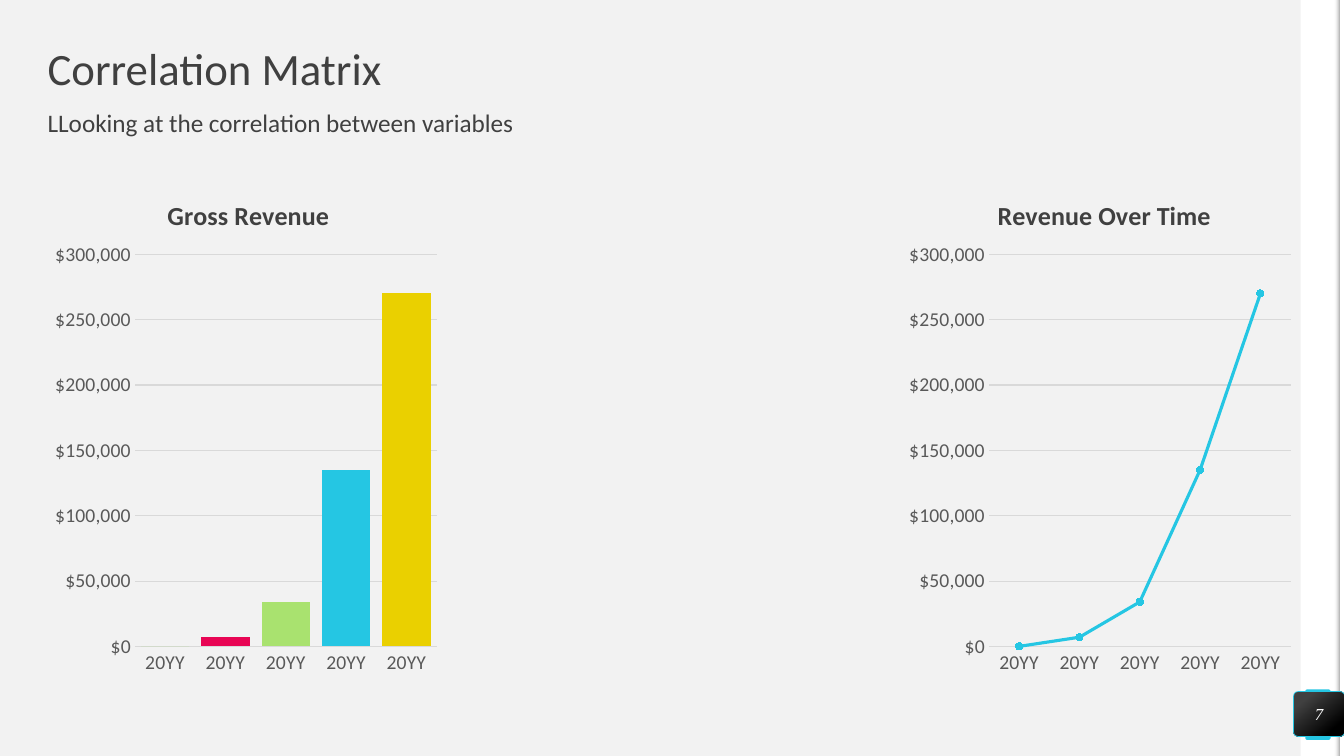
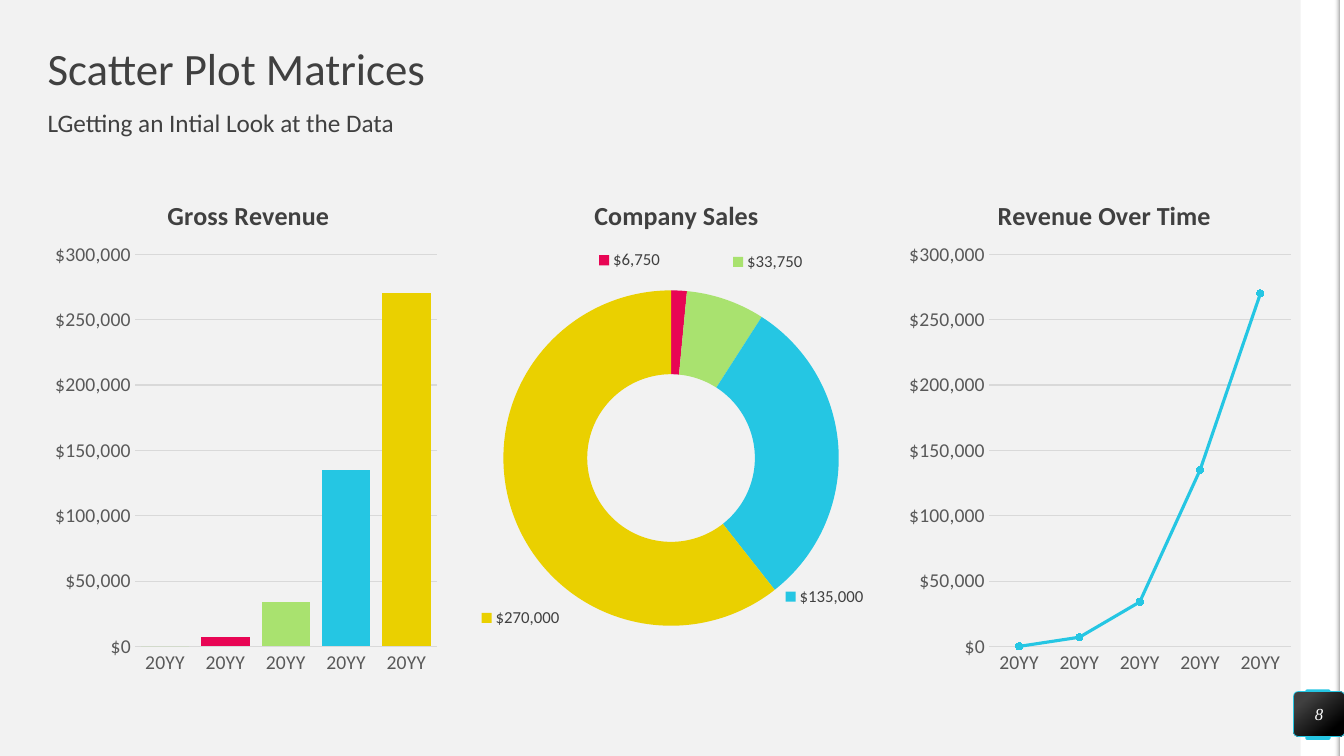
"""Build two revenue slides with charts, a side band and a page badge."""
import copy

import pptx
import pptx.chart.data
import pptx.dml.color
import pptx.enum.chart
import pptx.enum.shapes
import pptx.enum.text
import pptx.oxml
import pptx.oxml.ns
import pptx.util
from lxml import etree

Pt = pptx.util.Pt
RGBColor = pptx.dml.color.RGBColor
ChartType = pptx.enum.chart.XL_CHART_TYPE
ShapeType = pptx.enum.shapes.MSO_SHAPE
Anchor = pptx.enum.text.MSO_ANCHOR
Align = pptx.enum.text.PP_ALIGN
qn = pptx.oxml.ns.qn

PAPER = RGBColor(0xF2, 0xF2, 0xF2)
WHITE = RGBColor(0xFF, 0xFF, 0xFF)
BLACK = RGBColor(0, 0, 0)
INK = RGBColor(0x40, 0x40, 0x40)
AXIS_TEXT = RGBColor(0x59, 0x59, 0x59)
GRID = RGBColor(0xD9, 0xD9, 0xD9)
EDGE = RGBColor(0xA6, 0xA6, 0xA6)
CYAN = RGBColor(0x25, 0xC6, 0xE3)
GREEN = RGBColor(0xA9, 0xE2, 0x6F)
CRIMSON = RGBColor(0xE8, 0x05, 0x54)
YELLOW = RGBColor(0xEA, 0xD0, 0x00)

FONT = "Calibri"
MONEY = "[$$-409]#,##0"
POINT_COLORS = (GREEN, CRIMSON, GREEN, CYAN, YELLOW)
YEARS = ["20YY"] * 5
REVENUE = (0, 7000, 34000, 135000, 270000)
AXIS_PLOT = (0.22, 0.17, 0.76, 0.76)

CHARTS = {
    "bars": dict(title="Gross Revenue", column=0, kind=ChartType.COLUMN_CLUSTERED,
                 categories=YEARS, values=REVENUE, title_at=(0.29, 0.05), plot_at=AXIS_PLOT),
    "ring": dict(title="Company Sales", column=1, kind=ChartType.DOUGHNUT,
                 categories=["1", "2", "3", "4", "5"], values=(0, 6750, 33750, 135000, 270000),
                 title_at=(0.29, 0.05), plot_at=(0.07, 0.24, 0.85, 0.65)),
    "line": dict(title="Revenue Over Time", column=2, kind=ChartType.LINE_MARKERS_STACKED,
                 categories=YEARS, values=REVENUE, title_at=(0.23, 0.05), plot_at=AXIS_PLOT),
}
LABEL_OFFSETS = (None, (-0.12, -0.14), (0.14, -0.15), (0.07, 0.28), (-0.08, 0.23))

SLIDES = [
    ("Correlation Matrix", "LLooking at the correlation between variables", "7", ("bars", "line")),
    ("Scatter Plot Matrices", "LGetting an Intial Look at the Data", "8", ("bars", "ring", "line")),
]

LEFT, TEXT_WIDTH = 34, 893
CHART_TOP, CHART_WIDTH, CHART_HEIGHT, CHART_PITCH = 119, 283.6, 368.6, 305


def add_block(slide, kind, bounds, color=None, rounding=None, rotation=0):
    block = slide.shapes.add_shape(kind, *map(Pt, bounds))
    block.shadow.inherit = False
    block.line.fill.background()
    block.rotation = rotation
    if color is not None:
        block.fill.solid()
        block.fill.fore_color.rgb = color
    if rounding is not None:
        block.adjustments[0] = rounding
    return block


def fill_gradient(block, angle, *stops):
    block.fill.gradient()
    block.fill.gradient_angle = angle
    for stop, (position, color) in zip(block.fill.gradient_stops, stops):
        stop.position = position
        stop.color.rgb = color


def set_text(frame, text, size, color, name=FONT, anchor=Anchor.TOP, align=Align.LEFT):
    frame.word_wrap = True
    frame.auto_size = pptx.enum.text.MSO_AUTO_SIZE.NONE
    frame.margin_left = frame.margin_right = frame.margin_top = frame.margin_bottom = 0
    frame.vertical_anchor = anchor
    frame.text = text
    para = frame.paragraphs[0]
    para.alignment = align
    set_font(para.font, size, color, name)
    return para


def set_font(font, size, color, name=FONT):
    font.size, font.name = Pt(size), name
    font.color.rgb = color


def add_band(slide, layout):
    blocks = [
        add_block(slide, ShapeType.RECTANGLE, (929, 0, 28, 540), WHITE),
        add_block(slide, ShapeType.ROUNDED_RECTANGLE, (932.4, 492.5, 18, 36), CYAN, 0.07),
        add_block(slide, ShapeType.RECTANGLE, (688.3, 268.4, 540, 3.6), WHITE, rotation=90),
        add_block(slide, ShapeType.RECTANGLE, (684.7, 268.4, 540, 3.6), rotation=90),
    ]
    fill_gradient(blocks[-1], 90, (0, PAPER), (1, EDGE))
    clear_stop = next(blocks[-1].element.iter(qn("a:srgbClr")))
    etree.SubElement(clear_stop, qn("a:alpha")).set("val", "0")
    for block in blocks:
        layout.shapes.element.append(block.element)


def add_badge(slide, number):
    badge = add_block(slide, ShapeType.ROUNDED_RECTANGLE, (924, 494, 36.5, 32), rounding=0.1)
    fill_gradient(badge, 310, (0.2, INK), (0.82, BLACK))
    badge.line.color.rgb = CYAN
    badge.line.width = Pt(0.5)
    para = set_text(badge.text_frame, number, 12, WHITE, "Times New Roman",
                    Anchor.MIDDLE, Align.CENTER)
    para.font.italic = True


def set_layout(parent, index, values, edge=True, inner=False):
    for old in parent.findall(qn("c:layout")):
        parent.remove(old)
    layout = pptx.oxml.parse_xml(
        '<c:layout xmlns:c="http://schemas.openxmlformats.org/drawingml/2006/chart">'
        "<c:manualLayout/></c:layout>")
    manual = layout[0]
    settings = [("layoutTarget", "inner")] if inner else []
    if edge:
        settings += [("xMode", "edge"), ("yMode", "edge")]
    settings += zip("xywh", values)
    for tag, value in settings:
        etree.SubElement(manual, qn(f"c:{tag}")).set("val", str(value))
    parent.insert(index, layout)


def style_axes(chart):
    years, money = chart.category_axis, chart.value_axis
    for axis in (years, money):
        axis.major_tick_mark = axis.minor_tick_mark = pptx.enum.chart.XL_TICK_MARK.NONE
        set_font(axis.tick_labels.font, 14, AXIS_TEXT)
    money.has_major_gridlines = True
    for line in (years.format.line, money.major_gridlines.format.line):
        line.color.rgb = GRID
        line.width = Pt(0.75)
    money.format.line.fill.background()
    money.minimum_scale, money.maximum_scale, money.major_unit = 0, 300000, 50000
    money.tick_labels.number_format = MONEY
    money.tick_labels.number_format_is_linked = False


def color_points(series):
    for index, color in enumerate(POINT_COLORS):
        look = series.points[index].format
        look.fill.solid()
        look.fill.fore_color.rgb = color
        look.line.fill.background()


def style_bars(chart, series):
    style_axes(chart)
    chart.plots[0].gap_width = 25
    series.invert_if_negative = False
    color_points(series)


def style_line(chart, series):
    style_axes(chart)
    series.smooth = False
    series.format.line.color.rgb = CYAN
    series.format.line.width = Pt(2.25)
    marker = series.marker
    marker.style = pptx.enum.chart.XL_MARKER_STYLE.CIRCLE
    marker.size = 5
    marker.format.fill.solid()
    marker.format.fill.fore_color.rgb = CYAN
    marker.format.line.color.rgb = CYAN


def style_ring(chart, series):
    color_points(series)
    chart.element.xpath(".//c:holeSize")[0].set("val", "84")
    labels = series.data_labels
    labels.show_value = labels.show_legend_key = True
    labels.number_format = MONEY
    labels.number_format_is_linked = False
    set_font(labels.font, 12, INK)
    group = chart.element.xpath(".//c:ser/c:dLbls")[0]
    for leader in group.findall(qn("c:showLeaderLines")):
        leader.set("val", "0")
    shared = [part for part in group if part.tag != qn("c:showLeaderLines")]
    for index, offset in enumerate(LABEL_OFFSETS):
        label = etree.Element(qn("c:dLbl"))
        etree.SubElement(label, qn("c:idx")).set("val", str(index))
        if offset is None:
            etree.SubElement(label, qn("c:delete")).set("val", "1")
        else:
            set_layout(label, 1, offset, edge=False)
            label.extend(copy.deepcopy(part) for part in shared)
        group.insert(index, label)


STYLES = {"bars": style_bars, "ring": style_ring, "line": style_line}


def add_chart(slide, name):
    details = CHARTS[name]
    data = pptx.chart.data.CategoryChartData()
    data.categories = details["categories"]
    data.add_series("Series 1", details["values"])
    bounds = (LEFT + CHART_PITCH * details["column"], CHART_TOP, CHART_WIDTH, CHART_HEIGHT)
    chart = slide.shapes.add_chart(details["kind"], *map(Pt, bounds), data).chart
    set_font(chart.font, 10, BLACK)
    chart.has_legend = False
    chart.has_title = True
    frame = chart.chart_title.text_frame
    frame.text = details["title"]
    font = frame.paragraphs[0].font
    set_font(font, 18.6, INK)
    font.bold = True
    plot = chart.plots[0]
    plot.vary_by_categories = name == "ring"
    STYLES[name](chart, plot.series[0])
    set_layout(chart.element.xpath("c:chart/c:title")[0], 1, details["title_at"])
    set_layout(chart.element.xpath("c:chart/c:plotArea")[0], 0, details["plot_at"], inner=True)


def add_headings(slide, title, subtitle):
    heading = slide.shapes.title
    heading.left, heading.top, heading.width, heading.height = map(Pt, (LEFT, 34, TEXT_WIDTH, 34))
    box = slide.shapes.add_textbox(*map(Pt, (LEFT, 79, TEXT_WIDTH, 28)))
    paras = (set_text(heading.text_frame, title, 32, INK, anchor=Anchor.MIDDLE),
             set_text(box.text_frame, subtitle, 18, INK))
    for para in paras:
        para.line_spacing = 0.9


def main():
    deck = pptx.Presentation()
    deck.slide_width, deck.slide_height = Pt(960), Pt(540)
    layout = deck.slide_layouts[5]
    layout.background.fill.solid()
    layout.background.fill.fore_color.rgb = PAPER
    for index, (title, subtitle, number, charts) in enumerate(SLIDES):
        slide = deck.slides.add_slide(layout)
        if index == 0:
            add_band(slide, layout)
        add_headings(slide, title, subtitle)
        add_badge(slide, number)
        for name in charts:
            add_chart(slide, name)
    deck.save("out.pptx")


if __name__ == "__main__":
    main()
